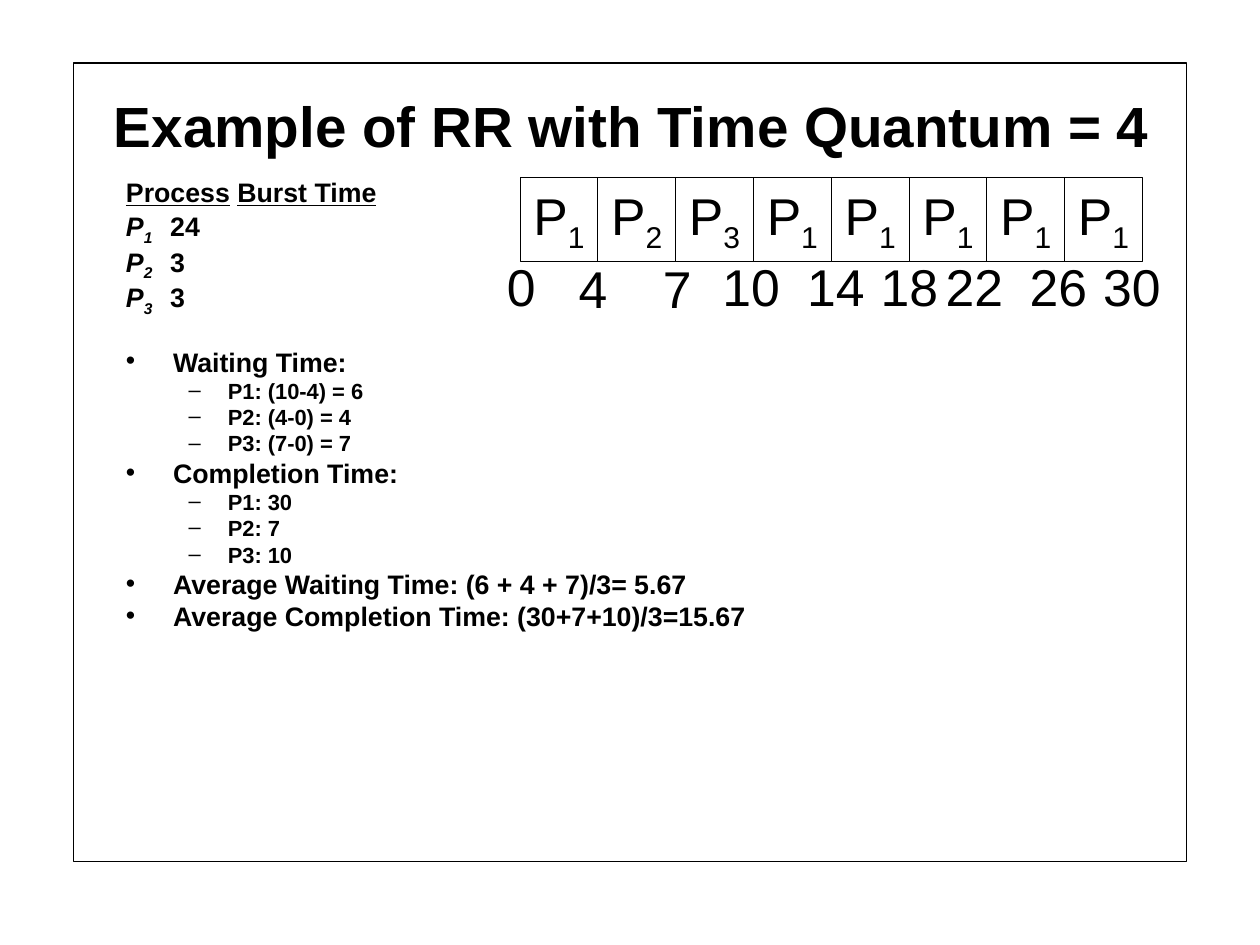
from lxml.etree import SubElement
from pptx import Presentation
from pptx.dml.color import RGBColor
from pptx.enum.shapes import MSO_SHAPE
from pptx.enum.text import MSO_ANCHOR, MSO_AUTO_SIZE, PP_ALIGN
from pptx.oxml.ns import qn
from pptx.util import Cm, Pt


def tint(code):
    return RGBColor.from_string(code)


class Deck:
    """Holds the style and the current slide, and draws its elements."""

    face = "Arial"
    ink = "000000"
    paper = "FFFFFF"

    def __init__(self, wide, high):
        self.prs = Presentation()
        self.prs.slide_width, self.prs.slide_height = Cm(wide), Cm(high)
        self.slide = self.prs.slides.add_slide(self.prs.slide_layouts[1])

    def style(self, par, size, bold=False, italic=False):
        font = par.font
        font.name, font.size = self.face, Pt(size)
        font.bold, font.italic = bold, italic
        font.color.rgb = tint(self.ink)

    def holder(self, item, box, anchor):
        item.left, item.top, item.width, item.height = map(Cm, box)
        frame = item.text_frame
        frame.auto_size = MSO_AUTO_SIZE.NONE
        frame.vertical_anchor = anchor
        frame.margin_left = frame.margin_right = Cm(0.36)
        frame.margin_top = frame.margin_bottom = Cm(0.18)
        return frame

    def title(self, text, box):
        frame = self.holder(self.slide.shapes.title, box, MSO_ANCHOR.MIDDLE)
        frame.text = text
        par = frame.paragraphs[0]
        par.alignment = PP_ALIGN.CENTER
        self.style(par, 46, True)

    def body(self, box):
        self.frame = self.holder(self.slide.placeholders[1], box, MSO_ANCHOR.TOP)
        self.first = True

    def line(self, level=0, left=0, hang=0, mark=None, tab=None, gap=7, italic=False):
        par = self.frame.paragraphs[0] if self.first else self.frame.add_paragraph()
        par.level = level
        par.line_spacing = 0.73
        par.space_before = Pt(0 if self.first else gap)
        self.first = False
        props = par._p.get_or_add_pPr()
        props.set("marL", str(Cm(left)))
        props.set("indent", str(Cm(-hang)))
        if mark:
            SubElement(props, qn("a:buChar"), char=mark)
        else:
            SubElement(props, qn("a:buNone"))
        if tab:
            stops = SubElement(props, qn("a:tabLst"))
            SubElement(stops, qn("a:tab"), pos=str(Cm(tab)), algn="l")
        self.style(par, 17.8 if level else 21.7, True, italic)
        return par

    def run(self, par, text, sub=False):
        run = par.add_run()
        run.text = text
        if sub:
            run._r.get_or_add_rPr().set("baseline", "-25000")
        return run.font

    def head(self, *names):
        par = self.line()
        for spot, name in enumerate(names):
            if spot:
                self.run(par, " ")
            self.run(par, name).underline = True

    def row(self, index, burst):
        par = self.line(tab=3.9, italic=True)
        self.run(par, "P")
        self.run(par, index, True)
        self.run(par, "\t" + burst).italic = False

    def point(self, text, gap=7):
        self.run(self.line(0, 1.35, 1.35, "•", gap=gap), text)

    def item(self, text):
        self.run(self.line(1, 2.92, 1.12, "–", gap=5.8), text)

    def rect(self, box, width, fill=None):
        shape = self.slide.shapes.add_shape(MSO_SHAPE.RECTANGLE, *map(Cm, box))
        shape.shadow.inherit = False
        if fill:
            shape.fill.solid()
            shape.fill.fore_color.rgb = tint(fill)
        else:
            shape.fill.background()
        shape.line.color.rgb = tint(self.ink)
        shape.line.width = Pt(width)
        return shape

    def label(self, shape, text, sub=""):
        frame = shape.text_frame
        frame.word_wrap = False
        frame.vertical_anchor = MSO_ANCHOR.MIDDLE
        par = frame.paragraphs[0]
        par.alignment = PP_ALIGN.CENTER
        self.style(par, 42)
        self.run(par, text)
        if sub:
            self.run(par, sub, True)

    def slot(self, box, index):
        self.label(self.rect(box, 0.75, self.paper), "P", index)

    def time(self, mid, top, text):
        wide = 2.16 if len(text) > 1 else 1.32
        box = self.slide.shapes.add_textbox(Cm(mid - wide / 2), Cm(top), Cm(wide), Cm(2.03))
        self.label(box, text)


def main():
    deck = Deck(36.12, 27.08)
    deck.rect((2.11, 1.8, 31.9, 22.89), 1.25)
    deck.title("Example of RR with Time Quantum = 4", (2.18, 1.9, 31.83, 3.33))

    deck.body((3.25, 5.08, 29.03, 17.7))
    deck.head("Process", "Burst Time")
    for index, burst in zip("123", ("24", "3", "3")):
        deck.row(index, burst)
    groups = (
        ("Waiting Time:", 33, ("P1: (10-4) = 6", "P2: (4-0) = 4", "P3: (7-0) = 7")),
        ("Completion Time:", 7, ("P1: 30", "P2: 7", "P3: 10")),
        ("Average Waiting Time: (6 + 4 + 7)/3= 5.67", 7, ()),
        ("Average Completion Time: (30+7+10)/3=15.67", 7, ()),
    )
    for text, gap, items in groups:
        deck.point(text, gap)
        for item in items:
            deck.item(item)

    step = 2.23
    for spot, index in enumerate("12311111"):
        deck.slot((14.91 + spot * step, 5.08, step, 2.41), index)
    times = (
        ("0", 14.94), ("4", 17), ("7", 19.41), ("10", 21.53), ("14", 23.96),
        ("18", 26.07), ("22", 27.93), ("26", 30.34), ("30", 32.45),
    )
    for text, mid in times:
        deck.time(mid, 7.24 if text in "47" else 7.19, text)

    deck.prs.save("out.pptx")


if __name__ == "__main__":
    main()
